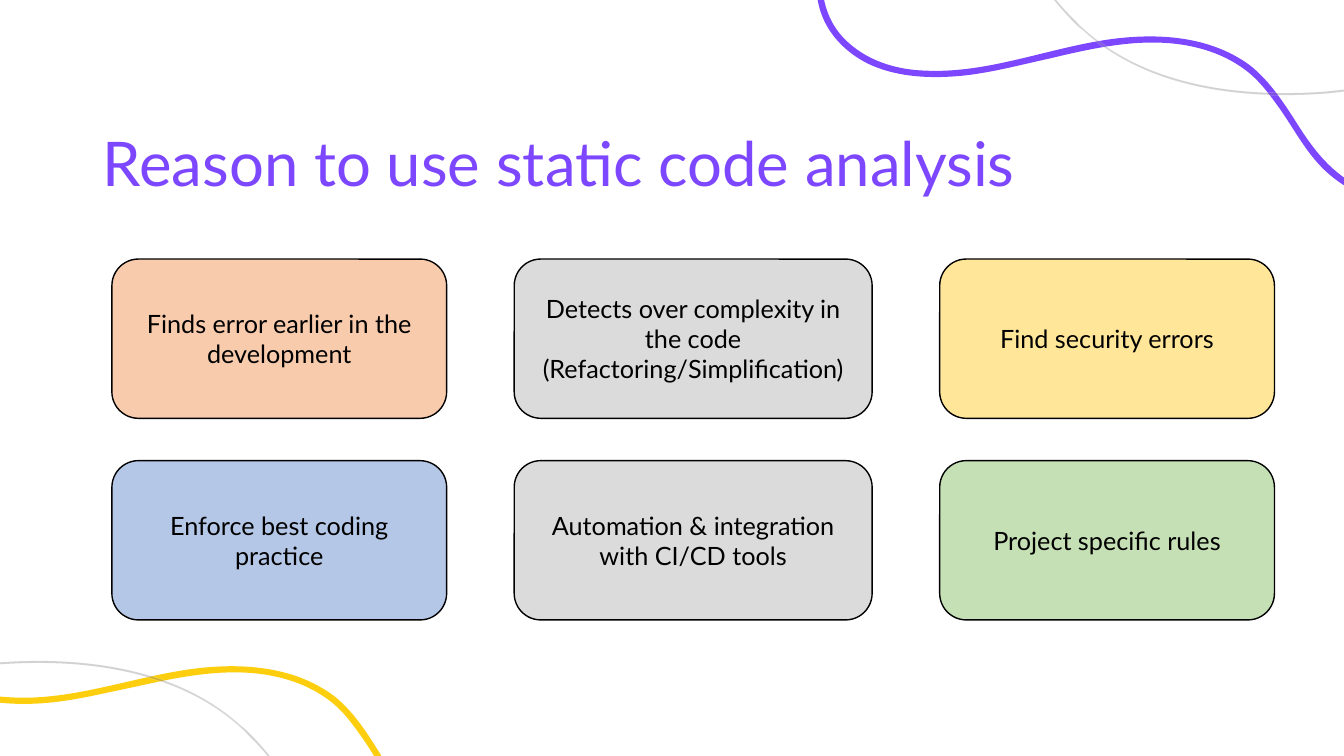
from math import cos, radians, sin

from lxml import etree
from pptx import Presentation
from pptx.dml.color import RGBColor
from pptx.enum.shapes import MSO_SHAPE
from pptx.enum.text import MSO_ANCHOR, MSO_AUTO_SIZE, PP_ALIGN
from pptx.oxml.ns import qn
from pptx.util import Inches, Pt

ROUNDED = MSO_SHAPE.ROUNDED_RECTANGLE
TOP, MIDDLE = MSO_ANCHOR.TOP, MSO_ANCHOR.MIDDLE
LEFT, CENTER = PP_ALIGN.LEFT, PP_ALIGN.CENTER
FONT = "Lato"
COLORS = {
    "purple": "7D46FF", "gold": "FCCE0D", "black": "000000", "white": "FFFFFF",
    "orange": "F8CBAD", "gray": "DBDBDB", "yellow": "FFE699",
    "blue": "B4C7E7", "green": "C5E0B4",
}

# Outlines in inches: a start point, then three points per Bézier segment.
RIBBON = [
    (13.42, 1.82), (13.18, 1.68), (13.02, 1.47), (12.88, 1.25),
    (12.74, 1.03), (12.6, 0.81), (12.4, 0.65), (11.97, 0.33), (11.39, 0.32), (10.88, 0.41),
    (10.31, 0.51), (9.75, 0.73), (9.17, 0.7), (8.88, 0.69), (8.59, 0.6), (8.38, 0.39),
    (8.21, 0.22), (8.15, 0), (8.15, -0.24), (8.15, -0.37), (8.17, -0.51), (8.19, -0.64),
    (8.13, -0.65), (8.13, -0.65), (8.13, -0.65), (8.13, -0.62), (8.12, -0.58), (8.12, -0.54),
    (8.09, -0.32), (8.07, -0.09), (8.14, 0.12), (8.22, 0.36), (8.42, 0.55), (8.65, 0.65),
    (8.93, 0.77), (9.25, 0.78), (9.55, 0.75), (9.84, 0.72), (10.13, 0.64), (10.41, 0.58),
    (10.95, 0.45), (11.54, 0.32), (12.08, 0.54), (12.2, 0.59), (12.32, 0.66), (12.42, 0.75),
    (12.52, 0.84), (12.6, 0.95), (12.68, 1.06), (12.83, 1.27), (12.95, 1.51), (13.14, 1.69),
    (13.34, 1.88), (13.6, 2), (13.88, 2.02), (13.88, 2.02), (13.88, 2.02), (13.88, 2.02),
    (13.89, 1.96), (13.89, 1.96), (13.89, 1.96), (13.73, 1.95), (13.57, 1.9), (13.42, 1.82),
]
THREAD = [
    (13.78, 0.83), (13.79, 0.85), (13.79, 0.85), (13.79, 0.85),
    (13.57, 0.88), (13.35, 0.91), (13.13, 0.93), (12.42, 0.98), (11.42, 0.92), (10.74, 0.3),
    (10.71, 0.28), (10.68, 0.25), (10.65, 0.22), (10.48, 0.05), (10.33, -0.15), (10.2, -0.35),
    (10.21, -0.36), (10.21, -0.36), (10.21, -0.36),
    (10.35, -0.16), (10.49, 0.04), (10.67, 0.21), (10.69, 0.24), (10.72, 0.26), (10.75, 0.29),
    (11.43, 0.9), (12.42, 0.96), (13.13, 0.91), (13.34, 0.89), (13.56, 0.86), (13.78, 0.83),
]
# Frame left, top, width, height and the angle at which the outline above is given.
RIBBON_FRAME = (7.73, -0.23, 6.21, 2.28, 216.4)
THREAD_FRAME = (10.27, -0.61, 3.39, 1.78, 45)


def write_text(frame, text, size=18, color="black", align=CENTER, anchor=MIDDLE, spacing=None):
    frame.text = text
    frame.word_wrap = True
    frame.auto_size = MSO_AUTO_SIZE.NONE
    frame.vertical_anchor = anchor
    for paragraph in frame.paragraphs:
        paragraph.alignment = align
        paragraph.line_spacing = spacing
        font = paragraph.runs[0].font
        font.name, font.size = FONT, Pt(size)
        font.color.rgb = RGBColor.from_string(COLORS[color])


def level_outline(controls, frame):
    """Return the control points in EMU from the frame's corner, with its rotation undone."""
    left, top, width, height, angle = frame
    cosine, sine = cos(radians(angle)), sin(radians(angle))
    leveled = []
    for x, y in controls:
        dx, dy = x - left - width / 2, y - top - height / 2
        leveled.append((Inches(width / 2 + dx * cosine + dy * sine),
                        Inches(height / 2 - dx * sine + dy * cosine)))
    return leveled


presentation = Presentation()
presentation.slide_width, presentation.slide_height = Inches(13.33), Inches(7.5)
layout = presentation.slide_layouts[5]
slide = presentation.slides.add_slide(layout)

# Corner decoration: each outline appears twice, the second one turned and moved.
decorations = [
    (RIBBON, RIBBON_FRAME, 7.73, -0.23, 216.4, "purple"),
    (RIBBON, RIBBON_FRAME, -1.35, 6.01, 217.2, "gold"),
    (THREAD, THREAD_FRAME, -0.53, 6.33, 225, "black"),
    (THREAD, THREAD_FRAME, 10.27, -0.61, 45, "black"),
]
for number, (outline, frame, left, top, angle, color) in enumerate(decorations):
    points = level_outline(outline, frame)
    builder = slide.shapes.build_freeform(*points[0])
    builder.add_line_segments(points[3::3], close=outline is RIBBON)
    shape = builder.convert_to_shape()
    shape.left, shape.top = Inches(left), Inches(top)
    shape.width, shape.height = Inches(frame[2]), Inches(frame[3])
    shape.rotation = angle

    # Bend the straight segments into Bézier curves measured from the frame's corner.
    curve = next(shape.element.iter(qn("a:path")))
    curve.set("w", str(shape.width))
    curve.set("h", str(shape.height))
    start = curve.find(qn("a:moveTo")).find(qn("a:pt"))
    start.set("x", str(points[0][0]))
    start.set("y", str(points[0][1]))
    for segment, line in enumerate(curve.findall(qn("a:lnTo"))):
        bend = etree.Element(qn("a:cubicBezTo"))
        for x, y in points[3 * segment + 1:3 * segment + 4]:
            etree.SubElement(bend, qn("a:pt"), x=str(x), y=str(y))
        curve.replace(line, bend)

    shape.shadow.inherit = False
    shape.fill.solid()
    shape.fill.fore_color.rgb = RGBColor.from_string(COLORS[color])
    if outline is RIBBON:
        shape.line.fill.background()
    else:
        shape.line.color.rgb = RGBColor.from_string(COLORS["white"])
        shape.line.width = Pt(1)
        for tint in shape.element.spPr.iter(qn("a:srgbClr")):
            etree.SubElement(tint, qn("a:alpha")).set("val", "20000")

    # The decoration belongs to the layout, behind the slide's own content.
    next(shape.element.iter(qn("p:cNvPr"))).set("id", str(20 + number))
    layout.shapes.element.append(shape.element)

title = slide.shapes.title
title.left, title.top = Inches(0.92), Inches(1.27)
title.width, title.height = Inches(11.5), Inches(1.45)
write_text(title.text_frame, "Reason to use static code analysis",
           size=44, color="purple", align=LEFT, anchor=TOP, spacing=0.9)

columns = [(1.11, 3.32), (5.1, 3.55), (9.32, 3.32)]
first_row, row_pitch, card_height = 2.57, 2, 1.58
reasons = [
    ("Finds error earlier in the development", "orange"),
    ("Detects over complexity in the code\n(Refactoring/Simplification)", "gray"),
    ("Find security errors", "yellow"),
    ("Enforce best coding practice", "blue"),
    ("Automation & integration with CI/CD tools", "gray"),
    ("Project specific rules", "green"),
]
for index, (text, color) in enumerate(reasons):
    row, column = divmod(index, len(columns))
    left, width = columns[column]
    card = slide.shapes.add_shape(ROUNDED, Inches(left), Inches(first_row + row * row_pitch),
                                  Inches(width), Inches(card_height))
    card.shadow.inherit = False
    card.fill.solid()
    card.fill.fore_color.rgb = RGBColor.from_string(COLORS[color])
    card.line.color.rgb = RGBColor.from_string(COLORS["black"])
    card.line.width = Pt(1)
    write_text(card.text_frame, text)

presentation.save("out.pptx")
